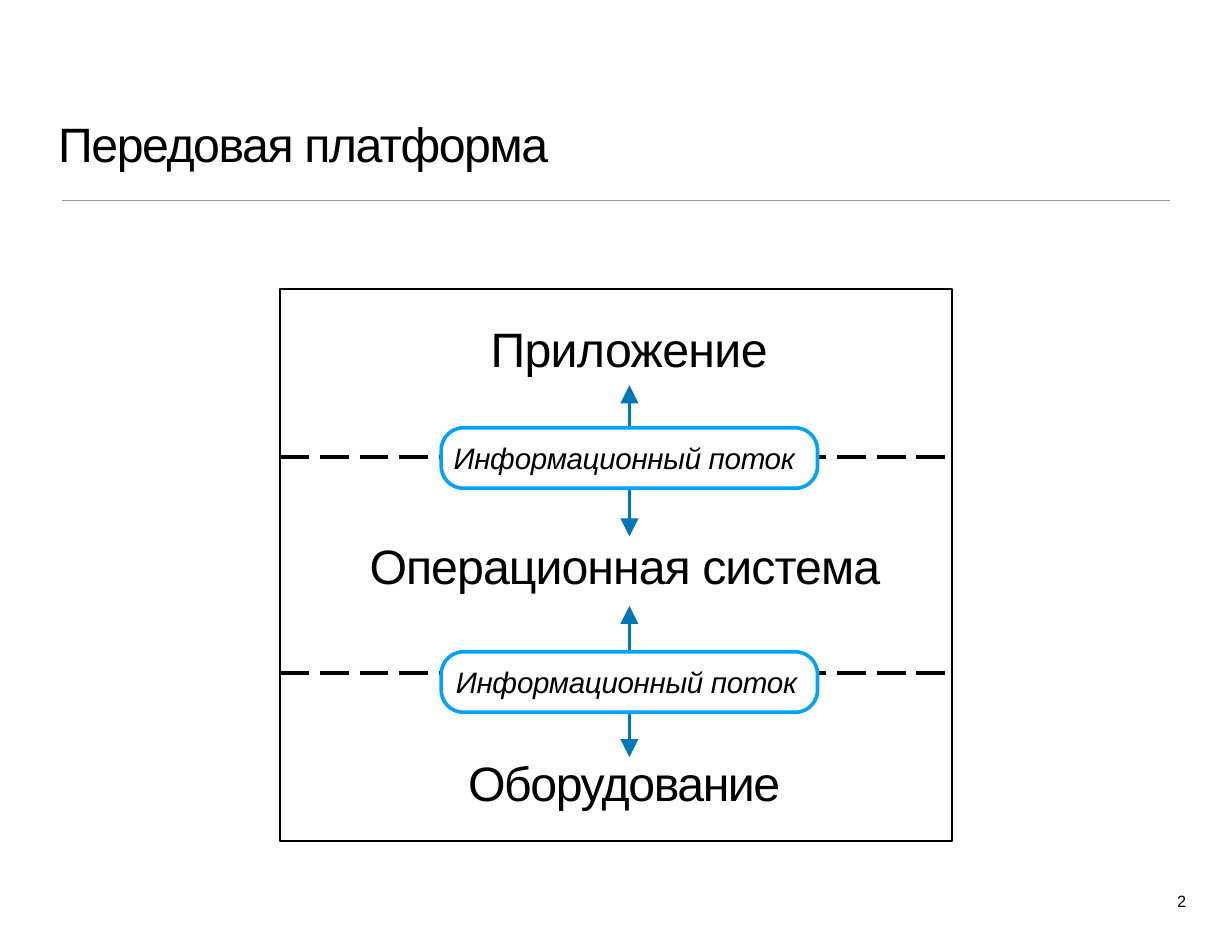
from dataclasses import dataclass

from lxml import etree
from pptx import Presentation
from pptx.dml.color import RGBColor
from pptx.enum.dml import MSO_LINE
from pptx.enum.shapes import MSO_CONNECTOR, MSO_SHAPE
from pptx.enum.text import MSO_ANCHOR
from pptx.oxml.ns import qn
from pptx.util import Inches, Pt

STRAIGHT = MSO_CONNECTOR.STRAIGHT
RECTANGLE = MSO_SHAPE.RECTANGLE
ROUNDED = MSO_SHAPE.ROUNDED_RECTANGLE
LONG_DASH = MSO_LINE.LONG_DASH
TOP = MSO_ANCHOR.TOP


@dataclass(frozen=True)
class Theme:
    font: str = "Arial"
    ink: RGBColor = RGBColor(0x00, 0x00, 0x00)
    paper: RGBColor = RGBColor(0xFF, 0xFF, 0xFF)
    rule: RGBColor = RGBColor(0x9A, 0x9A, 0x9A)
    arrow: RGBColor = RGBColor(0x00, 0x76, 0xBA)
    outline: RGBColor = RGBColor(0x00, 0xA2, 0xFF)
    heading: float = 31
    flow: float = 19
    number: float = 10.5
    thin: float = 0.77
    thick: float = 2.32


THEME = Theme()


def add_label(page, box, text, size, spacing, italic=False):
    """Place one line of text; spacing is the letter spacing in points."""
    label = page.shapes.add_textbox(*map(Inches, box))
    frame = label.text_frame
    frame.word_wrap = True
    frame.vertical_anchor = TOP
    frame.margin_left = Inches(0.01)
    frame.margin_right = frame.margin_bottom = 0
    frame.margin_top = Inches(0.02 if size == THEME.heading else 0.04)
    span = frame.paragraphs[0].add_run()
    span.text = text
    span.font.name = THEME.font
    span.font.size = Pt(size)
    span.font.italic = italic
    span.font.color.rgb = THEME.ink
    span.font._element.set("spc", str(round(spacing * 100)))


def add_line(page, start, end, color, width, dash=None, arrows=False):
    line = page.shapes.add_connector(STRAIGHT, *map(Inches, start + end))
    line.line.color.rgb = color
    line.line.width = Pt(width)
    if dash is not None:
        line.line.dash_style = dash
    if arrows:
        outline = line.line._get_or_add_ln()
        for tag in ("a:headEnd", "a:tailEnd"):
            etree.SubElement(outline, qn(tag), type="triangle", w="lg", len="lg")
    etree.SubElement(line._element.spPr, qn("a:effectLst"))


def add_box(page, kind, box, color, width):
    shape = page.shapes.add_shape(kind, *map(Inches, box))
    shape.shadow.inherit = False
    shape.line.color.rgb = color
    shape.line.width = Pt(width)
    return shape


def add_header(page, box):
    """Title with a rule along the bottom of the box."""
    left, top, width, height = box
    add_label(page, (left - 0.04, top, 5.24, 0.53), "Передовая платформа",
              THEME.heading, -0.9)
    bottom = top + height
    add_line(page, (left, bottom), (left + width, bottom), THEME.rule, THEME.thin)


def add_flow(page, box, text_left):
    """Rounded box naming the information flow between two layers."""
    shape = add_box(page, ROUNDED, box, THEME.outline, THEME.thick)
    shape.adjustments[0] = 0.37
    shape.fill.solid()
    shape.fill.fore_color.rgb = THEME.paper
    add_label(page, (text_left, box[1] + 0.07, 3.13, 0.34),
              "Информационный поток", THEME.flow, -0.2, italic=True)


def add_platform(page, box):
    """Three layers, divided by dashed lines and joined by flows."""
    left, top, width, height = box
    frame = add_box(page, RECTANGLE, box, THEME.ink, THEME.thin)
    frame.fill.background()

    # Layer names: offset from the frame, width, letter spacing
    layers = [
        ("Приложение", 1.87, 0.25, 2.52, -0.4),
        ("Операционная система", 0.79, 2.19, 4.92, -0.6),
        ("Оборудование", 1.67, 4.13, 2.92, -0.9),
    ]
    for text, dx, dy, label_width, spacing in layers:
        add_label(page, (left + dx, top + dy, label_width, 0.53),
                  text, THEME.heading, spacing)

    # Boundaries: offsets of the divider, arrow, flow box and flow text
    arrow_x = left + 3.12
    for divider, arrow, flow, text_dx in [(1.5, 0.86, 1.24, 1.54),
                                          (3.43, 2.83, 3.24, 1.56)]:
        add_line(page, (left, top + divider), (left + width, top + divider),
                 THEME.ink, THEME.thick, dash=LONG_DASH)
        add_line(page, (arrow_x, top + arrow), (arrow_x, top + arrow + 1.35),
                 THEME.arrow, THEME.thick, arrows=True)
        add_flow(page, (left + 1.44, top + flow, 3.36, 0.54), left + text_dx)


def main():
    deck = Presentation()
    deck.slide_width, deck.slide_height = Inches(11), Inches(8.5)
    page = deck.slides.add_slide(deck.slide_layouts[6])
    add_header(page, (0.55, 1, 9.9, 0.79))
    add_platform(page, (2.5, 2.58, 6, 4.93))
    # Page number
    add_label(page, (10.5, 7.92, 0.11, 0.21), "2", THEME.number, 0.1)
    deck.save("out.pptx")


if __name__ == "__main__":
    main()
